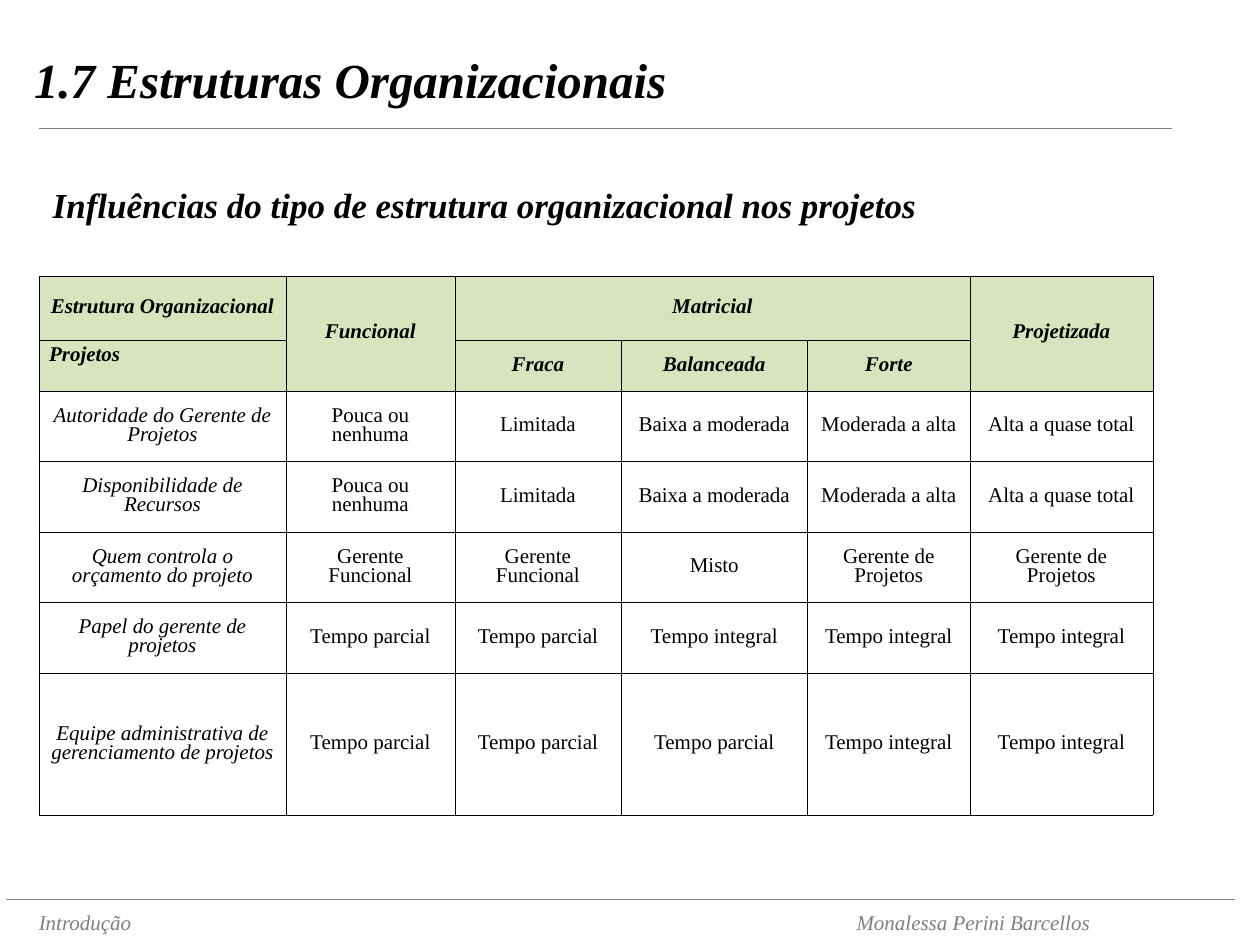
from dataclasses import dataclass

from lxml.etree import SubElement
from pptx import Presentation
from pptx.dml.color import RGBColor
from pptx.enum.shapes import MSO_CONNECTOR
from pptx.enum.text import MSO_ANCHOR, MSO_AUTO_SIZE, PP_ALIGN
from pptx.oxml.ns import qn
from pptx.util import Inches, Pt


@dataclass(frozen=True)
class Theme:
    font: str = "Times New Roman"
    black: str = "000000"
    gray: str = "7F7F7F"
    header_fill: str = "D7E4BD"
    title_size: int = 28
    subtitle_size: int = 20
    small_size: int = 12


COLUMN_WIDTHS = [1.96, 1.34, 1.32, 1.48, 1.29, 1.45]
ROW_HEIGHTS = [0.51, 0.4] + [0.56] * 4 + [1.13]
ROWS = [
    ["Estrutura Organizacional", "Funcional", "Matricial", "", "", "Projetizada"],
    ["Projetos", "", "Fraca", "Balanceada", "Forte", ""],
    ["Autoridade do Gerente de Projetos", "Pouca ou nenhuma", "Limitada",
     "Baixa a moderada", "Moderada a alta", "Alta a quase total"],
    ["Disponibilidade de Recursos", "Pouca ou nenhuma", "Limitada",
     "Baixa a moderada", "Moderada a alta", "Alta a quase total"],
    ["Quem controla o orçamento do projeto", "Gerente Funcional", "Gerente Funcional",
     "Misto", "Gerente de Projetos", "Gerente de Projetos"],
    ["Papel do gerente de projetos", "Tempo parcial", "Tempo parcial",
     "Tempo integral", "Tempo integral", "Tempo integral"],
    ["Equipe administrativa de gerenciamento de projetos", "Tempo parcial",
     "Tempo parcial", "Tempo parcial", "Tempo integral", "Tempo integral"],
]
HEADER_ROWS = 2
# Each merge joins the first (row, column) with the last one.
MERGES = [((0, 1), (1, 1)), ((0, 2), (0, 4)), ((0, 5), (1, 5))]


class SlideBuilder:
    def __init__(self, slide, theme):
        self.slide = slide
        self.theme = theme

    def add_run(self, paragraph, text, size, color, bold=False, italic=True):
        run = paragraph.add_run()
        run.text = text
        run.font.name = self.theme.font
        run.font.size = Pt(size)
        run.font.bold = bold
        run.font.italic = italic
        run.font.color.rgb = RGBColor.from_string(color)

    def add_rule(self, left, right, top, width):
        line = self.slide.shapes.add_connector(
            MSO_CONNECTOR.STRAIGHT, Inches(left), Inches(top), Inches(right), Inches(top))
        line.line.color.rgb = RGBColor.from_string(self.theme.gray)
        line.line.width = Pt(width)
        SubElement(line.element.spPr, qn("a:effectLst"))

    def add_text(self, text, left, top, width, height, size, color, bold=True,
                 wrap=False, inset=0.1, anchor=MSO_ANCHOR.TOP, tab=None):
        box = self.slide.shapes.add_textbox(
            Inches(left), Inches(top), Inches(width), Inches(height))
        frame = box.text_frame
        frame.word_wrap = wrap
        frame.auto_size = MSO_AUTO_SIZE.NONE if wrap else MSO_AUTO_SIZE.SHAPE_TO_FIT_TEXT
        frame.margin_left = Inches(inset)
        frame.vertical_anchor = anchor
        paragraph = frame.paragraphs[0]
        if tab is not None:
            tabs = SubElement(paragraph._p.get_or_add_pPr(), qn("a:tabLst"))
            SubElement(tabs, qn("a:tab"), pos=str(Inches(tab)), algn="l")
        self.add_run(paragraph, text, size, color, bold)

    def add_borders(self, cell):
        properties = cell._tc.get_or_add_tcPr()
        for side in ("a:lnL", "a:lnR", "a:lnT", "a:lnB"):
            border = SubElement(properties, qn(side), w=str(Pt(0.06)))
            fill = SubElement(border, qn("a:solidFill"))
            SubElement(fill, qn("a:srgbClr"), val=self.theme.black)

    def style_cell(self, cell, text, is_header, is_label):
        self.add_borders(cell)
        if is_header:
            cell.fill.solid()
            cell.fill.fore_color.rgb = RGBColor.from_string(self.theme.header_fill)
        else:
            cell.fill.background()
        cell.margin_left = cell.margin_right = Inches(0.08)
        cell.margin_top = cell.margin_bottom = Inches(0.05)
        cell.vertical_anchor = MSO_ANCHOR.MIDDLE
        if not text:
            return
        paragraph = cell.text_frame.paragraphs[0]
        paragraph.alignment = PP_ALIGN.CENTER
        paragraph.line_spacing = 0.81
        if not is_header:
            paragraph.space_after = Pt(12)
        self.add_run(paragraph, text, self.theme.small_size, self.theme.black,
                     bold=is_header, italic=is_header or is_label)

    def add_table(self, left, top):
        table = self.slide.shapes.add_table(
            len(ROWS), len(COLUMN_WIDTHS), Inches(left), Inches(top),
            Inches(sum(COLUMN_WIDTHS)), Inches(sum(ROW_HEIGHTS))).table
        table.first_row = table.horz_banding = False
        for column, width in zip(table.columns, COLUMN_WIDTHS):
            column.width = Inches(width)
        for row, height in zip(table.rows, ROW_HEIGHTS):
            row.height = Inches(height)
        for row_index, texts in enumerate(ROWS):
            for column_index, text in enumerate(texts):
                self.style_cell(table.cell(row_index, column_index), text,
                                row_index < HEADER_ROWS, column_index == 0)
        for first, last in MERGES:
            table.cell(*first).merge(table.cell(*last))
        projects = table.cell(1, 0)
        projects.vertical_anchor = MSO_ANCHOR.TOP
        projects.text_frame.paragraphs[0].alignment = PP_ALIGN.JUSTIFY


def main():
    presentation = Presentation()
    presentation.slide_width = Inches(10)
    presentation.slide_height = Inches(7.5)
    theme = Theme()
    builder = SlideBuilder(
        presentation.slides.add_slide(presentation.slide_layouts[6]), theme)

    builder.add_rule(0.31, 9.3, 1.02, 1)
    builder.add_rule(0.05, 9.8, 7.14, 0.75)
    builder.add_text("Introdução\tMonalessa Perini Barcellos", 0.21, 7.17, 8.6, 0.3,
                     theme.small_size, theme.gray, bold=False, tab=6.49)
    builder.add_text("Influências do tipo de estrutura organizacional nos projetos",
                     0.32, 1.41, 7.06, 0.44, theme.subtitle_size, theme.black)
    builder.add_table(0.31, 2.19)
    builder.add_text("1.7 Estruturas Organizacionais", 0, 0, 9.82, 1.25,
                     theme.title_size, theme.black, wrap=True, inset=0.27,
                     anchor=MSO_ANCHOR.MIDDLE)
    presentation.save("out.pptx")


if __name__ == "__main__":
    main()
